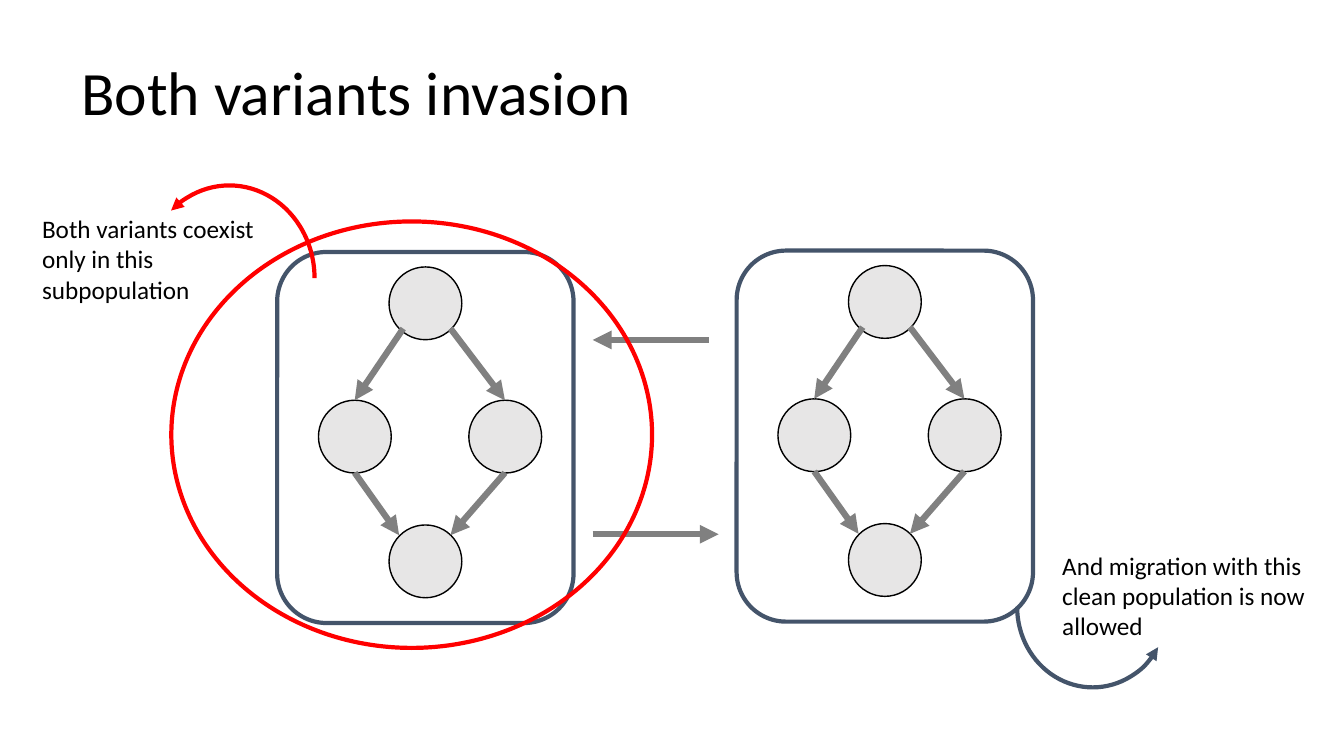
from pptx import Presentation
from pptx.dml.color import RGBColor
from pptx.enum.shapes import MSO_CONNECTOR, MSO_SHAPE as Shape
from pptx.enum.text import MSO_ANCHOR as Anchor
from pptx.oxml.ns import qn
from pptx.util import Pt
from lxml.etree import SubElement

BLACK = RGBColor(0x00, 0x00, 0x00)
WHITE = RGBColor(0xFF, 0xFF, 0xFF)
RED = RGBColor(0xFF, 0x00, 0x00)
SLATE = RGBColor(0x44, 0x54, 0x6A)
GRAY = RGBColor(0x80, 0x80, 0x80)
LIGHT_GRAY = RGBColor(0xE7, 0xE6, 0xE6)

FONT = "Calibri"
BOX_WIDTH, BOX_HEIGHT = 211.7, 265
NODE_SIZE = 52

# Positions inside a population box
NODES = [(79.9, 10.7), (29.5, 105.9), (136.9, 105.9), (79.9, 195)]
NODE_ARROWS = [
    ((90, 54.7), (55.4, 105.9)),
    ((123.8, 54.7), (162.7, 105.9)),
    ((55.4, 157.7), (87.1, 202.3)),
    ((162.7, 157.7), (123.8, 202.3)),
]


def add_outlined(slide, kind, left, top, width, height, color, weight, fill=None):
    shape = slide.shapes.add_shape(kind, Pt(left), Pt(top), Pt(width), Pt(height))
    shape.shadow.inherit = False
    if fill is None:
        shape.fill.background()
    else:
        shape.fill.solid()
        shape.fill.fore_color.rgb = fill
    shape.line.color.rgb = color
    shape.line.width = Pt(weight)
    return shape


def add_arrowhead(shape, end):
    """Put a triangle at one end of the line: "headEnd" or "tailEnd"."""
    line = shape.line._get_or_add_ln()
    SubElement(line, qn("a:" + end), type="triangle")


def add_arrow(slide, start, finish):
    arrow = slide.shapes.add_connector(
        MSO_CONNECTOR.STRAIGHT, *(Pt(value) for value in (*start, *finish)))
    arrow.line.color.rgb = GRAY
    arrow.line.width = Pt(4.5)
    add_arrowhead(arrow, "tailEnd")
    SubElement(arrow._element.spPr, qn("a:effectLst"))


def add_curved_arrow(slide, left, top, width, height, color, start, rotation=0):
    """Draw an arc whose arrowhead sits at its start adjustment."""
    arc = add_outlined(slide, Shape.ARC, left, top, width, height, color, 3)
    arc.adjustments[0] = start
    arc.adjustments[1] = 0
    arc.rotation = rotation
    add_arrowhead(arc, "headEnd")


def add_text(slide, left, top, width, height, text, size, anchor=Anchor.TOP):
    box = slide.shapes.add_textbox(Pt(left), Pt(top), Pt(width), Pt(height))
    frame = box.text_frame
    frame.word_wrap = True
    frame.vertical_anchor = anchor
    run = frame.paragraphs[0].add_run()
    run.text = text
    run.font.name = FONT
    run.font.size = Pt(size)
    run.font.color.rgb = BLACK
    return box


def add_population(slide, left, top):
    """Draw a rounded box holding four nodes joined in a diamond."""
    add_outlined(slide, Shape.ROUNDED_RECTANGLE, left, top,
                 BOX_WIDTH, BOX_HEIGHT, SLATE, 3, WHITE)
    for x, y in NODES:
        add_outlined(slide, Shape.OVAL, left + x, top + y,
                     NODE_SIZE, NODE_SIZE, BLACK, 1, LIGHT_GRAY)
    for (x1, y1), (x2, y2) in NODE_ARROWS:
        add_arrow(slide, (left + x1, top + y1), (left + x2, top + y2))


def main():
    presentation = Presentation()
    presentation.slide_width = Pt(960)
    presentation.slide_height = Pt(540)
    slide = presentation.slides.add_slide(presentation.slide_layouts[6])

    title = add_text(slide, 51, 16, 828, 104.4, "Both variants invasion", 44,
                     Anchor.MIDDLE)
    title.text_frame.paragraphs[0].line_spacing = 0.9

    add_population(slide, 198, 180)
    add_population(slide, 526.2, 179)
    add_arrow(slide, (423.4, 381.6), (513.4, 381.6))
    add_arrow(slide, (506.2, 242.8), (423.4, 242.8))

    add_curved_arrow(slide, 103, 132.5, 121.7, 132.5, RED, 137.53)
    add_outlined(slide, Shape.OVAL, 122.4, 158.2, 343.4, 304.6, RED, 3)
    add_text(slide, 23, 149, 198.7, 72.7,
             "Both variants coexist only in this subpopulation", 18)

    add_curved_arrow(slide, 726.5, 375.8, 108, 115.2, SLATE, 127.03, rotation=180)
    add_text(slide, 751.7, 389.5, 198.7, 72.7,
             "And migration with this clean population is now allowed", 18)

    presentation.save("out.pptx")


if __name__ == "__main__":
    main()
